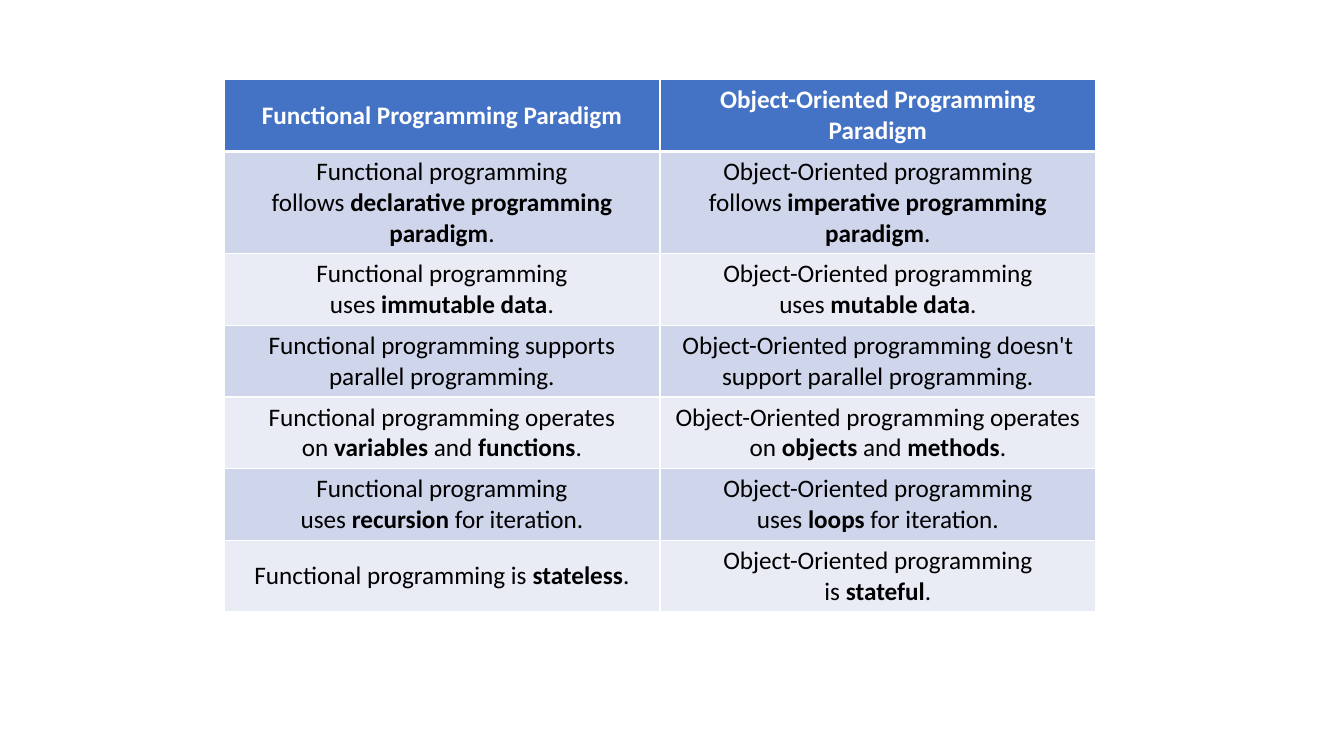
from lxml import etree
from pptx import Presentation
from pptx.dml.color import RGBColor
from pptx.enum.text import MSO_ANCHOR, PP_ALIGN
from pptx.oxml.ns import qn
from pptx.util import Pt

HEADERS = ("Functional Programming Paradigm", "Object-Oriented Programming Paradigm")
SUBJECTS = ("Functional programming", "Object-Oriented programming")
COMPARISONS = [
    ("follows *declarative programming paradigm*.", "follows *imperative programming paradigm*."),
    ("uses *immutable data*.", "uses *mutable data*."),
    ("supports parallel programming.", "doesn't support parallel programming."),
    ("operates on *variables* and *functions*.", "operates on *objects* and *methods*."),
    ("uses *recursion* for iteration.", "uses *loops* for iteration."),
    ("is *stateless*.", "is *stateful*."),
]

WHITE = RGBColor(0xFF, 0xFF, 0xFF)
BLACK = RGBColor(0x00, 0x00, 0x00)
HEADER_BLUE = RGBColor(0x44, 0x72, 0xC4)
BANDS = (RGBColor(0xCF, 0xD5, 0xEA), RGBColor(0xE9, 0xEB, 0xF5))
CENTER = PP_ALIGN.CENTER
MIDDLE = MSO_ANCHOR.MIDDLE
FONT_NAME = "Calibri"
FONT_SIZE = Pt(18)
TABLE_LEFT, TABLE_TOP = Pt(160), Pt(57)
TABLE_WIDTH, TABLE_HEIGHT = Pt(622.8), Pt(374.4)
ROW_HEIGHT = Pt(29.2)
THIN, THICK = Pt(1), Pt(3)
HARD_SPACE = chr(160)


def split_emphasis(text):
    text = text.replace(" *", HARD_SPACE + "*").replace("* ", "*" + HARD_SPACE)
    return [(part, index % 2 == 1) for index, part in enumerate(text.split("*"))]


def add_borders(cell, top, bottom):
    properties = cell._tc.get_or_add_tcPr()
    for tag, width in (("a:lnL", THIN), ("a:lnR", THIN), ("a:lnT", top), ("a:lnB", bottom)):
        line = etree.SubElement(properties, qn(tag), w=str(int(width)))
        fill = etree.SubElement(line, qn("a:solidFill"))
        etree.SubElement(fill, qn("a:srgbClr"), val=str(WHITE))


def fill_cell(cell, runs, background, text_color, top, bottom):
    add_borders(cell, top, bottom)
    cell.fill.solid()
    cell.fill.fore_color.rgb = background
    cell.vertical_anchor = MIDDLE
    paragraph = cell.text_frame.paragraphs[0]
    paragraph.alignment = CENTER
    for text, bold in runs:
        run = paragraph.add_run()
        run.text = text
        run.font.name = FONT_NAME
        run.font.size = FONT_SIZE
        run.font.bold = bold
        run.font.color.rgb = text_color


def main():
    presentation = Presentation()
    presentation.slide_width = Pt(960)
    presentation.slide_height = Pt(540)
    slide = presentation.slides.add_slide(presentation.slide_layouts[6])
    table_frame = slide.shapes.add_table(
        len(COMPARISONS) + 1, len(HEADERS), TABLE_LEFT, TABLE_TOP, TABLE_WIDTH, TABLE_HEIGHT
    )
    table = table_frame.table
    for row in table.rows:
        row.height = ROW_HEIGHT
    table_frame.height = TABLE_HEIGHT

    for column, header in enumerate(HEADERS):
        fill_cell(table.cell(0, column), [(header, True)], HEADER_BLUE, WHITE, THIN, THICK)
    for row, statements in enumerate(COMPARISONS, start=1):
        top = THICK if row == 1 else THIN
        for column, (subject, statement) in enumerate(zip(SUBJECTS, statements)):
            runs = split_emphasis(f"{subject} {statement}")
            fill_cell(table.cell(row, column), runs, BANDS[(row - 1) % 2], BLACK, top, THIN)

    presentation.save("out.pptx")


if __name__ == "__main__":
    main()
